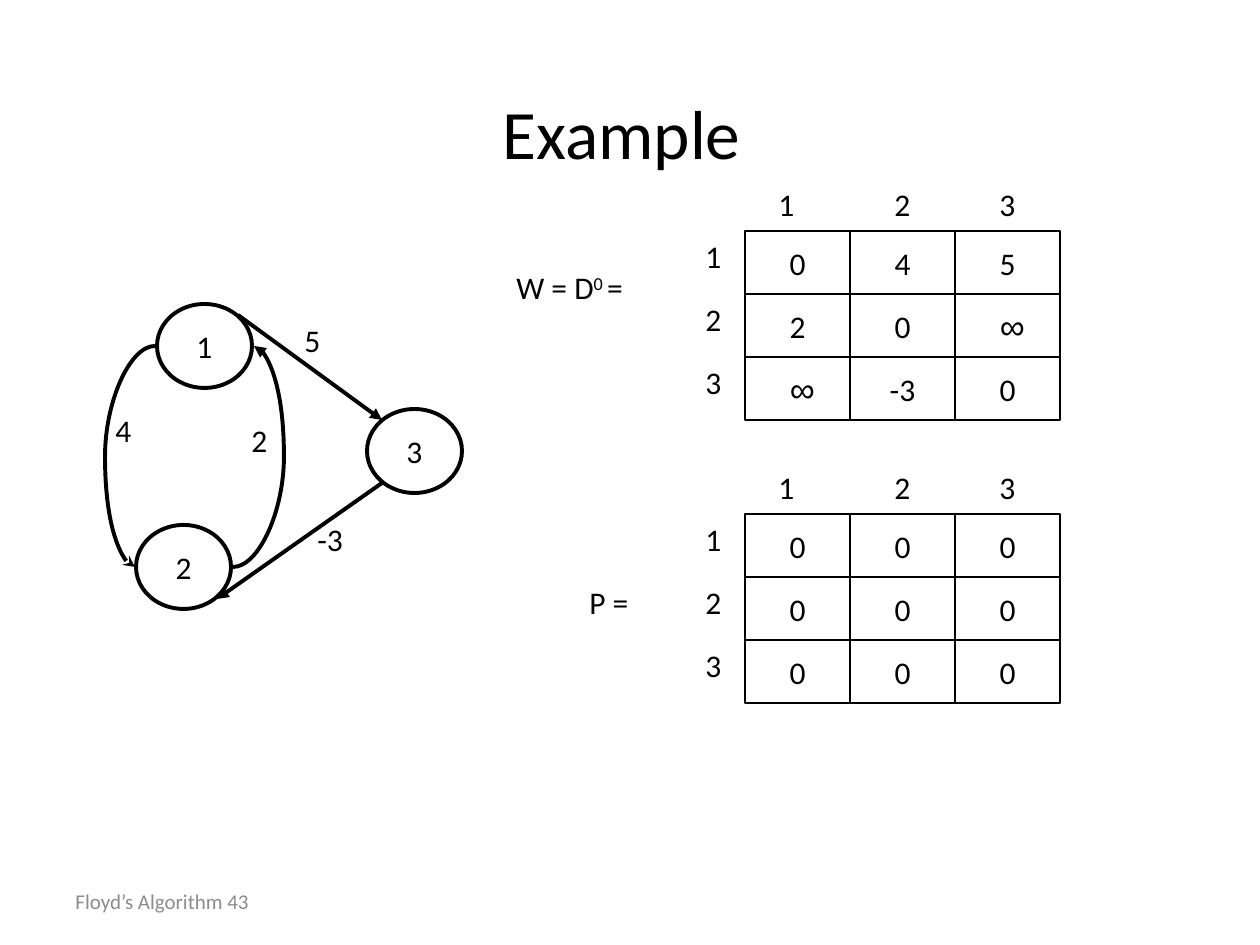
"""Build the Floyd's algorithm example slide with its graph and matrices."""
import dataclasses

import lxml.etree
import pptx
import pptx.dml.color
import pptx.enum.shapes
import pptx.enum.text
import pptx.oxml.ns
import pptx.util

SCALE = 914400 // 126
ALIGN = pptx.enum.text.PP_ALIGN
ANCHOR = pptx.enum.text.MSO_ANCHOR
SHAPE = pptx.enum.shapes.MSO_SHAPE
CONNECTOR = pptx.enum.shapes.MSO_CONNECTOR


@dataclasses.dataclass(frozen=True)
class Theme:
    ink: str = "000000"
    muted: str = "8C8C8C"
    font: str = "Calibri"
    symbol_font: str = "Arial"
    title: float = 39.6
    body: float = 18
    symbol: float = 20
    footer: float = 12
    thin: float = 1
    thick: float = 2.25


THEME = Theme()


def px(length):
    return pptx.util.Emu(length * SCALE)


def colour(value):
    return pptx.dml.color.RGBColor.from_string(value)


def child(parent, tag, **attributes):
    element = lxml.etree.SubElement(parent, pptx.oxml.ns.qn(tag))
    for name, value in attributes.items():
        element.set(name, value)
    return element


def add_span(para, text, size=THEME.body, ink=THEME.ink, raised=False):
    span = para.add_run()
    span.text = text
    symbol = "∞" in text
    span.font.name = THEME.symbol_font if symbol else THEME.font
    span.font.size = pptx.util.Pt(THEME.symbol if symbol else size)
    span.font.color.rgb = colour(ink)
    if raised:
        span.font._element.set("baseline", "30000")


def add_label(shapes, x, y, width, text, height=63):
    box = shapes.add_textbox(px(x), px(y), px(width), px(height))
    box.text_frame.word_wrap = False
    box.text_frame.auto_size = pptx.enum.text.MSO_AUTO_SIZE.SHAPE_TO_FIT_TEXT
    para = box.text_frame.paragraphs[0]
    add_span(para, text)
    return para


def add_block(shapes, x, y, width, height, text, size, ink, align):
    box = shapes.add_textbox(px(x), px(y), px(width), px(height))
    box.text_frame.word_wrap = True
    box.text_frame.vertical_anchor = ANCHOR.MIDDLE
    para = box.text_frame.paragraphs[0]
    para.alignment = align
    add_span(para, text, size, ink)


def add_outline(shapes, kind, x, y, width, height, text, weight):
    shape = shapes.add_shape(kind, px(x), px(y), px(width), px(height))
    shape.shadow.inherit = False
    shape.fill.background()
    shape.line.color.rgb = colour(THEME.ink)
    shape.line.width = pptx.util.Pt(weight)
    shape.text_frame.word_wrap = False
    shape.text_frame.vertical_anchor = ANCHOR.MIDDLE
    para = shape.text_frame.paragraphs[0]
    para.alignment = ALIGN.CENTER
    add_span(para, text)


def add_arrow(shapes, start, end, bend=None, tip="a:tailEnd", style="triangle"):
    kind = CONNECTOR.STRAIGHT if bend is None else CONNECTOR.CURVE
    arrow = shapes.add_connector(kind, *map(px, start + end))
    arrow.line.color.rgb = colour(THEME.ink)
    arrow.line.width = pptx.util.Pt(THEME.thick)
    properties = arrow._element.spPr
    child(properties.find(pptx.oxml.ns.qn("a:ln")), tip, type=style)
    child(properties, "a:effectLst")
    if bend is not None:
        share = round(100000 * (bend - start[0]) / (end[0] - start[0]))
        guides = properties.find(".//" + pptx.oxml.ns.qn("a:avLst"))
        child(guides, "a:gd", name="adj1", fmla=f"val {share}")


def add_matrix(shapes, top, rows, left=745, width=105, height=63):
    group = shapes.add_group_shape().shapes
    for row, values in enumerate(rows):
        for column, value in enumerate(values):
            add_outline(group, SHAPE.RECTANGLE, left + column * width,
                        top + row * height, width, height, value, THEME.thin)
    for column, x in enumerate((766, 882, 987), 1):
        add_label(group, x, top - 52, 47, str(column))
    for row in range(len(rows)):
        add_label(group, 693, top + row * height, 47, str(row + 1))


def add_graph(shapes):
    for name, x, y in (("1", 157, 304), ("2", 136, 525), ("3", 367, 409)):
        add_outline(shapes, SHAPE.OVAL, x, y, 95, 84, name, THEME.thick)
    add_arrow(shapes, (238, 315), (382, 420))
    add_arrow(shapes, (382, 483), (217, 599))
    add_arrow(shapes, (135, 567), (155, 346), 105, "a:headEnd", "stealth")
    add_arrow(shapes, (233, 567), (254, 346), 284)
    for weight, x, y, width in (("5", 292, 315, 47), ("-3", 305, 514, 60),
                                ("2", 239, 415, 47), ("4", 103, 405, 47)):
        add_label(shapes, x, y, width, weight)


def main():
    deck = pptx.Presentation()
    deck.slide_width, deck.slide_height = px(1260), px(945)
    shapes = deck.slides.add_slide(deck.slide_layouts[6]).shapes
    add_block(shapes, 63, 876, 294, 50, "Floyd’s Algorithm 43",
              THEME.footer, THEME.muted, ALIGN.LEFT)
    add_block(shapes, 94, 84, 1071, 95, "Example ",
              THEME.title, THEME.ink, ALIGN.CENTER)
    distance = add_label(shapes, 504, 262, 185, "W = D")
    add_span(distance, "0 ", raised=True)
    add_span(distance, "=")
    add_matrix(shapes, 231, (("0", "4", "5"), ("2", "0", " ∞"), (" ∞", "-3", "0")))
    add_matrix(shapes, 514, (("0",) * 3,) * 3)
    add_label(shapes, 577, 577, 83, "P =")
    add_graph(shapes)
    deck.save("out.pptx")


main()
